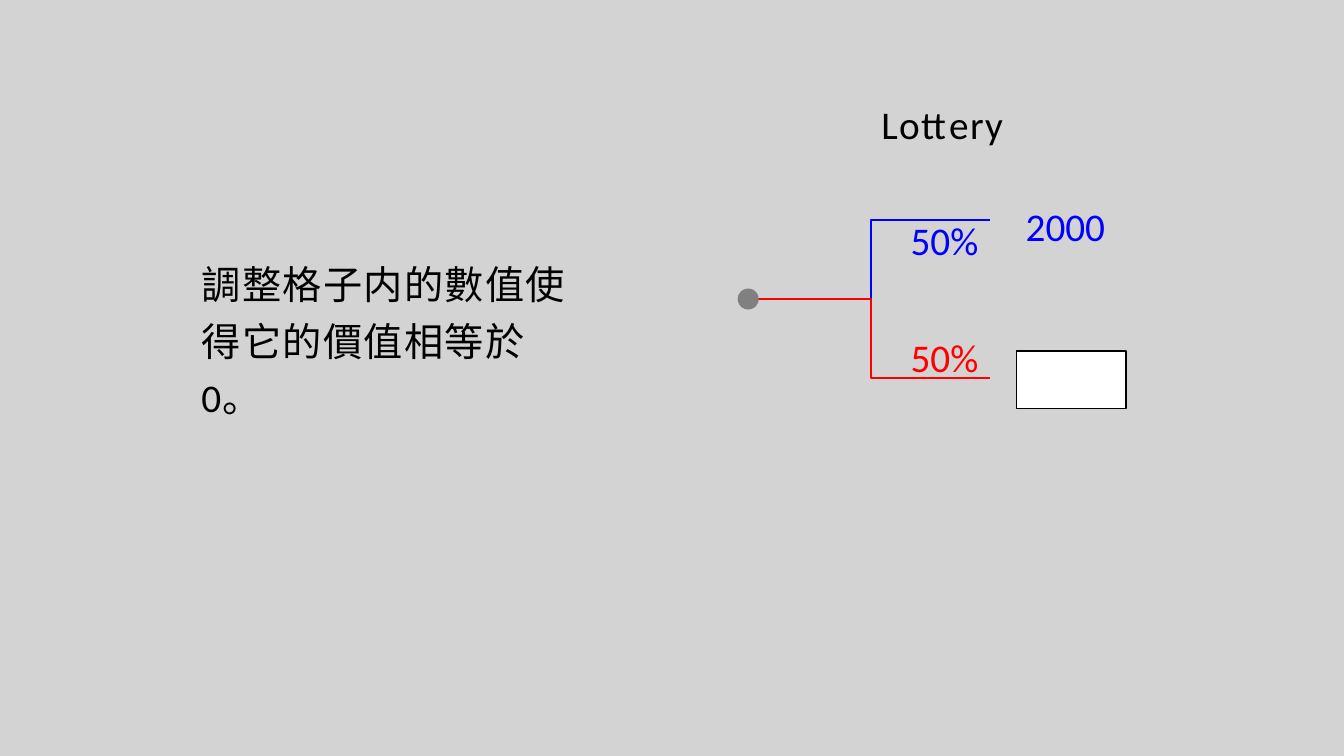
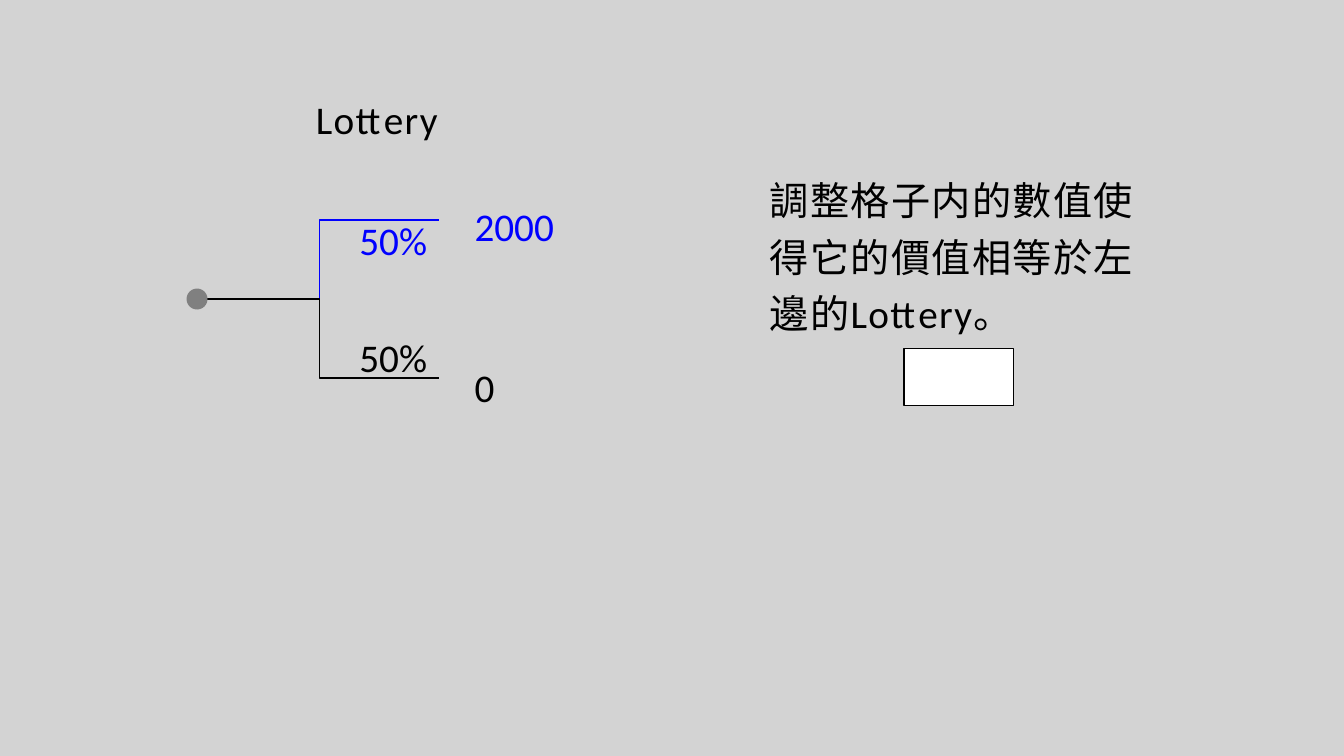
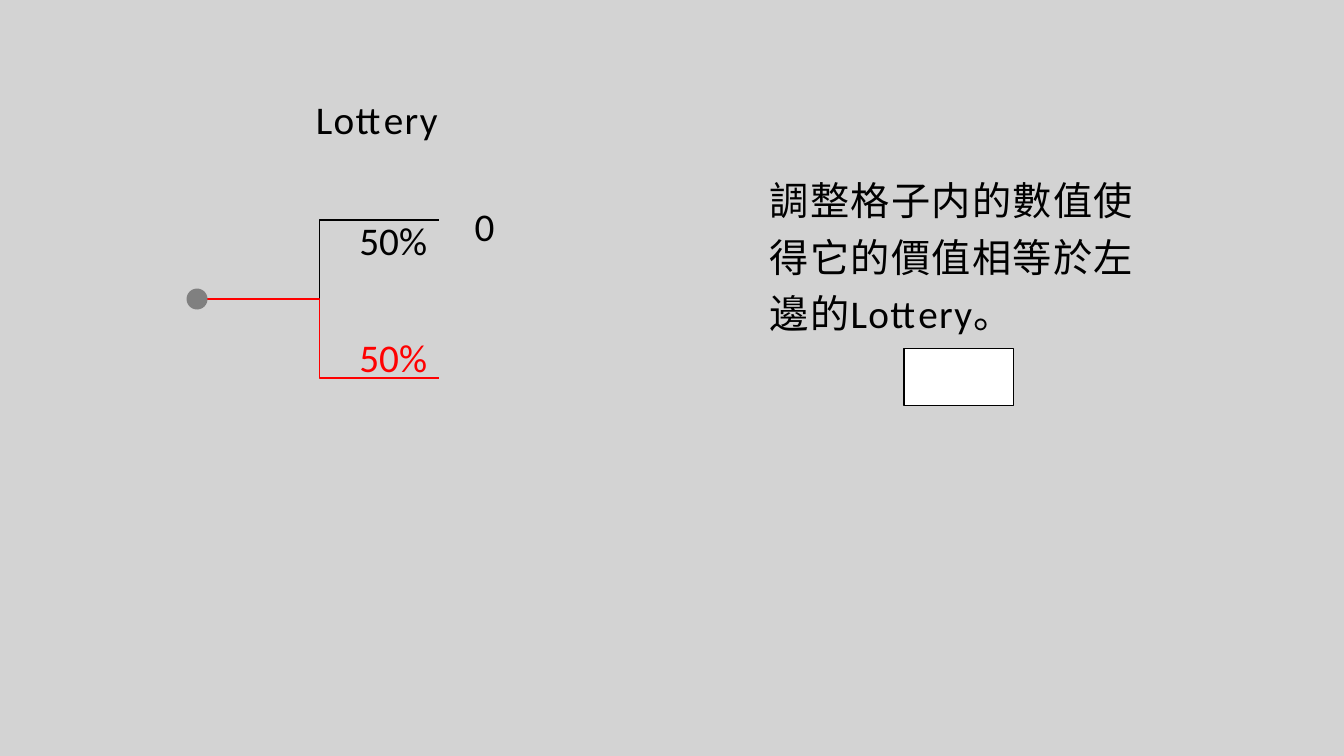
from pptx import Presentation
from pptx.dml.color import RGBColor
from pptx.enum.shapes import MSO_CONNECTOR, MSO_SHAPE
from pptx.enum.text import MSO_ANCHOR, MSO_AUTO_SIZE, PP_ALIGN
from pptx.oxml.ns import qn
from pptx.util import Inches, Pt
from lxml.etree import SubElement

HUE = {"page": "D3D3D3", "ink": "000000", "gain": "0000FF",
       "loss": "FF0000", "dot": "808080", "box": "FFFFFF"}
RGB = {name: RGBColor.from_string(code) for name, code in HUE.items()}

deck = Presentation()
deck.slide_width, deck.slide_height = Inches(13.33), Inches(7.5)
UNIT = deck.slide_height / 90
MID, RISE, SPAN, DOT, ROW = 35.6, 9.4, 28.3, 2.5, 6.8

back = deck.slide_master.background.fill
back.solid()
back.fore_color.rgb = RGB["page"]


def grid(*cells):
    return [round(cell * UNIT) for cell in cells]


def write(shape, text, hue="ink", wrap=False, gap=0, lead=1):
    frame = shape.text_frame
    frame.auto_size = MSO_AUTO_SIZE.NONE
    frame.word_wrap = wrap
    frame.vertical_anchor = MSO_ANCHOR.TOP
    para = frame.paragraphs[0]
    para.alignment = PP_ALIGN.LEFT
    para.line_spacing = lead
    run = para.add_run()
    run.text = text
    run.font.name, run.font.size = "Calibri", Pt(28)
    run.font.color.rgb = RGB[hue]
    if gap:
        run._r.get_or_add_rPr().set("spc", str(gap))


LEFT = {"tree": 23.9, "head": (36.4, 10.7), "box": (107.6, 41.5),
        "ask": (90.4, 19.3),
        "text": "調整格子内的數值使得它的價值相等於左邊的Lottery。"}
RIGHT = {"tree": 89.5, "head": (103.7, 11.3), "box": (121, 41.8),
         "ask": (22.8, 29.3),
         "text": "調整格子内的數值使得它的價值相等於 0。"}
PLANS = [
    (RIGHT, ("gain", "2000"), ("loss", "")),
    (LEFT, ("gain", "2000"), ("ink", "0")),
    (LEFT, ("ink", "0"), ("loss", "")),
]

for side, top, low in PLANS:
    slide = deck.slides.add_slide(deck.slide_layouts[5])
    shapes = slide.shapes
    root = side["tree"]

    head = shapes.title
    head.left, head.top, head.width, head.height = grid(*side["head"], 17.3, ROW)
    write(head, "Lottery", gap=100)

    ask = shapes.add_textbox(*grid(*side["ask"], 47.4, 21))
    write(ask, side["text"], wrap=True, gap=100, lead=1.2)

    for (hue, prize), sign, odds, pay in ((top, -1, 25.1, 23.5),
                                          (low, 1, 39.1, 42.6)):
        line = shapes.add_connector(
            MSO_CONNECTOR.ELBOW,
            *grid(root, MID, root + SPAN, MID + sign * RISE))
        line.line.color.rgb = RGB[hue]
        line.line.width = Pt(1)
        SubElement(line._element.spPr, qn("a:effectLst"))

        write(shapes.add_textbox(*grid(root + 17.7, odds, 10.6, ROW)), "50%", hue)
        if prize:
            spot = shapes.add_textbox(*grid(root + 31.4, pay, 13, ROW))
            write(spot, prize, hue, wrap=True)

    for kind, area, hue in (
            (MSO_SHAPE.OVAL, (root - 1.7, MID - DOT / 2, DOT, DOT), "dot"),
            (MSO_SHAPE.RECTANGLE, (*side["box"], 13, ROW), "box")):
        item = shapes.add_shape(kind, *grid(*area))
        item.shadow.inherit = False
        item.fill.solid()
        item.fill.fore_color.rgb = RGB[hue]
        if hue == "box":
            item.line.color.rgb = RGB["ink"]
            item.line.width = Pt(1)
        else:
            item.line.fill.background()

deck.save("out.pptx")
